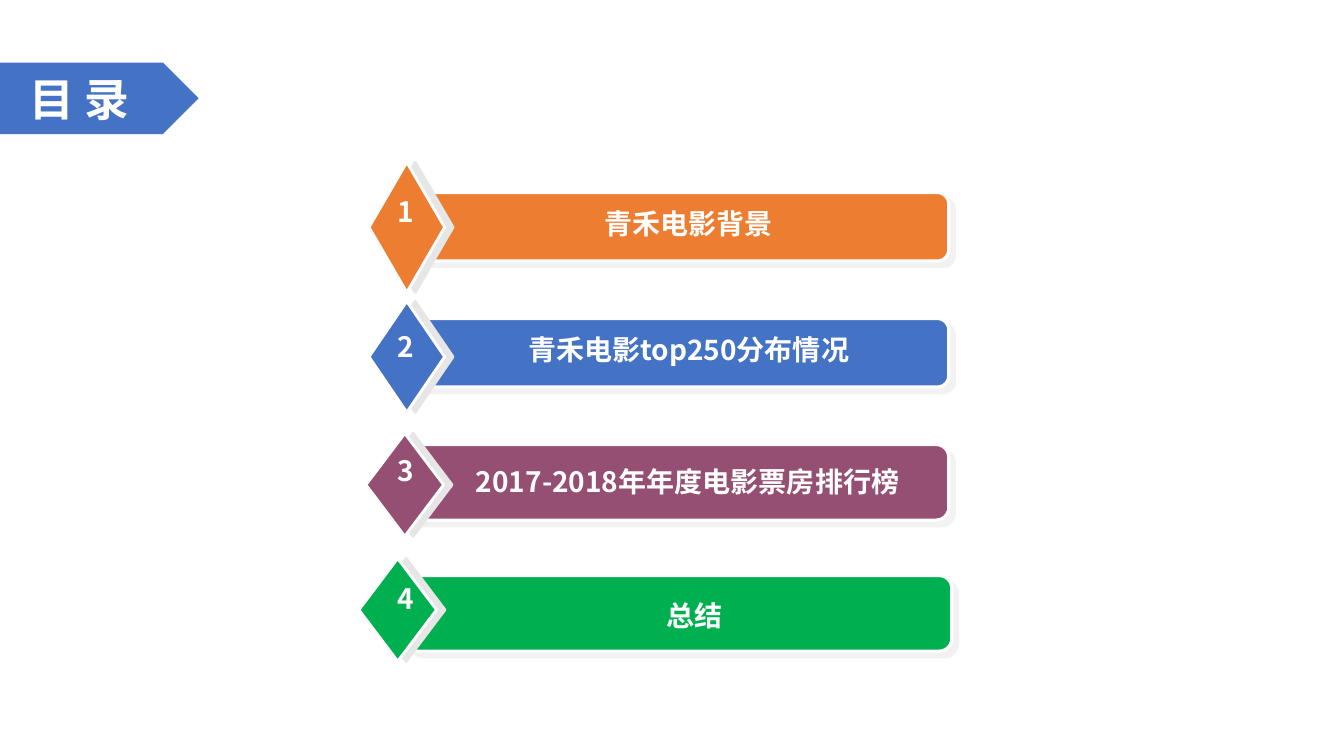
from lxml import etree
from pptx import Presentation
from pptx import util as u
from pptx.dml.color import RGBColor
from pptx.enum import shapes, text
from pptx.oxml.ns import qn

COLORS = {"white": "FFFFFF", "orange": "ED7D31", "blue": "4472C4",
          "plum": "954F72", "green": "00B050", "shade": "E7E6E6"}
FONT = "Noto Sans CJK SC"
KIND = shapes.MSO_SHAPE

# label, colour, bar box, diamond box, label offset and number offset from the bar
ROWS = [
    ("青禾电影背景", "orange", (3.99, 1.91, 5.42, 0.68),
     (3.66, 1.61, 0.75, 1.29), (0.59, 0.09), (-0.16, -0.03)),
    ("青禾电影top250分布情况", "blue", (3.99, 3.16, 5.42, 0.68),
     (3.66, 2.99, 0.75, 1.1), (0.59, 0.09), (-0.16, 0.06)),
    ("2017-2018年年度电影票房排行榜", "plum", (3.99, 4.41, 5.42, 0.75),
     (3.63, 4.3, 0.77, 1.02), (0.58, 0.15), (-0.16, 0.04)),
    ("总结", "green", (4.02, 5.71, 5.42, 0.75),
     (3.56, 5.54, 0.77, 1.02), (0.62, 0.18), (-0.19, 0.01)),
]


def color(name):
    return RGBColor.from_string(COLORS[name])


def add_shape(slide, kind, box, fill, line=None):
    """Add a filled shape, with a white outline of the given width if any."""
    shape = slide.shapes.add_shape(kind, *map(u.Inches, box))
    shape.shadow.inherit = False
    shape.fill.solid()
    shape.fill.fore_color.rgb = color(fill)
    if line:
        shape.line.color.rgb = color("white")
        shape.line.width = u.Pt(line)
    else:
        shape.line.fill.background()
    return shape


def add_shadow(shape, alpha, dist, angle):
    """Cast a sharp shadow: alpha in percent, dist in points, angle in degrees."""
    effects = shape._element.spPr.find(qn("a:effectLst"))
    outer = etree.SubElement(effects, qn("a:outerShdw"), blurRad="0",
                             dist=str(u.Pt(dist)), dir=str(angle * 60000),
                             algn="ctr", rotWithShape="0")
    tint = etree.SubElement(outer, qn("a:srgbClr"), val=COLORS["shade"])
    etree.SubElement(tint, qn("a:alpha"), val=str(alpha * 1000))


def add_text(slide, box, words, size, wrap=True, align=text.PP_ALIGN.CENTER):
    area = slide.shapes.add_textbox(*map(u.Inches, box))
    frame = area.text_frame
    frame.word_wrap = wrap
    frame.auto_size = text.MSO_AUTO_SIZE.SHAPE_TO_FIT_TEXT
    line = frame.paragraphs[0]
    line.text = words
    line.alignment = align
    font = line.font
    font.size, font.bold, font.name = u.Pt(size), True, FONT
    font.color.rgb = color("white")
    # East Asian glyphs take their own typeface
    for props in line._p.iter(qn("a:defRPr"), qn("a:rPr")):
        etree.SubElement(props, qn("a:ea"), typeface=FONT)
    return frame


def add_title(slide, box):
    left, top, width, height = box
    add_shape(slide, KIND.PENTAGON, box, "blue")
    frame = add_text(slide, (left + 0.17, top + 0.02, 1.3, 0.67), "目 录", 32,
                     wrap=False, align=text.PP_ALIGN.LEFT)
    frame.margin_left = frame.margin_right = u.Inches(0.13)
    frame.margin_top = frame.margin_bottom = u.Inches(0.07)


def add_row(slide, number, label, fill, bar, gem, shift, nudge):
    """Add one contents entry: bar, diamond, label and number."""
    left, top = bar[:2]
    back = add_shape(slide, KIND.ROUNDED_RECTANGLE, bar, fill, 2.25)
    back.adjustments[0] = 0.167
    add_shadow(back, 50, 5.7, 45)
    add_shadow(add_shape(slide, KIND.DIAMOND, gem, fill, 2), 100, 6, 0)
    add_text(slide, (left + shift[0], top + shift[1], 4.5, 0.44), label, 20)
    add_text(slide, (left + nudge[0], top + nudge[1], 0.38, 0.44),
             str(number), 20)


def main():
    deck = Presentation()
    deck.slide_width, deck.slide_height = u.Inches(13.33), u.Inches(7.5)
    slide = deck.slides.add_slide(deck.slide_layouts[6])
    add_title(slide, (-0.01, 0.62, 1.98, 0.71))
    for number, row in enumerate(ROWS, 1):
        add_row(slide, number, *row)
    deck.save("out.pptx")


if __name__ == "__main__":
    main()
